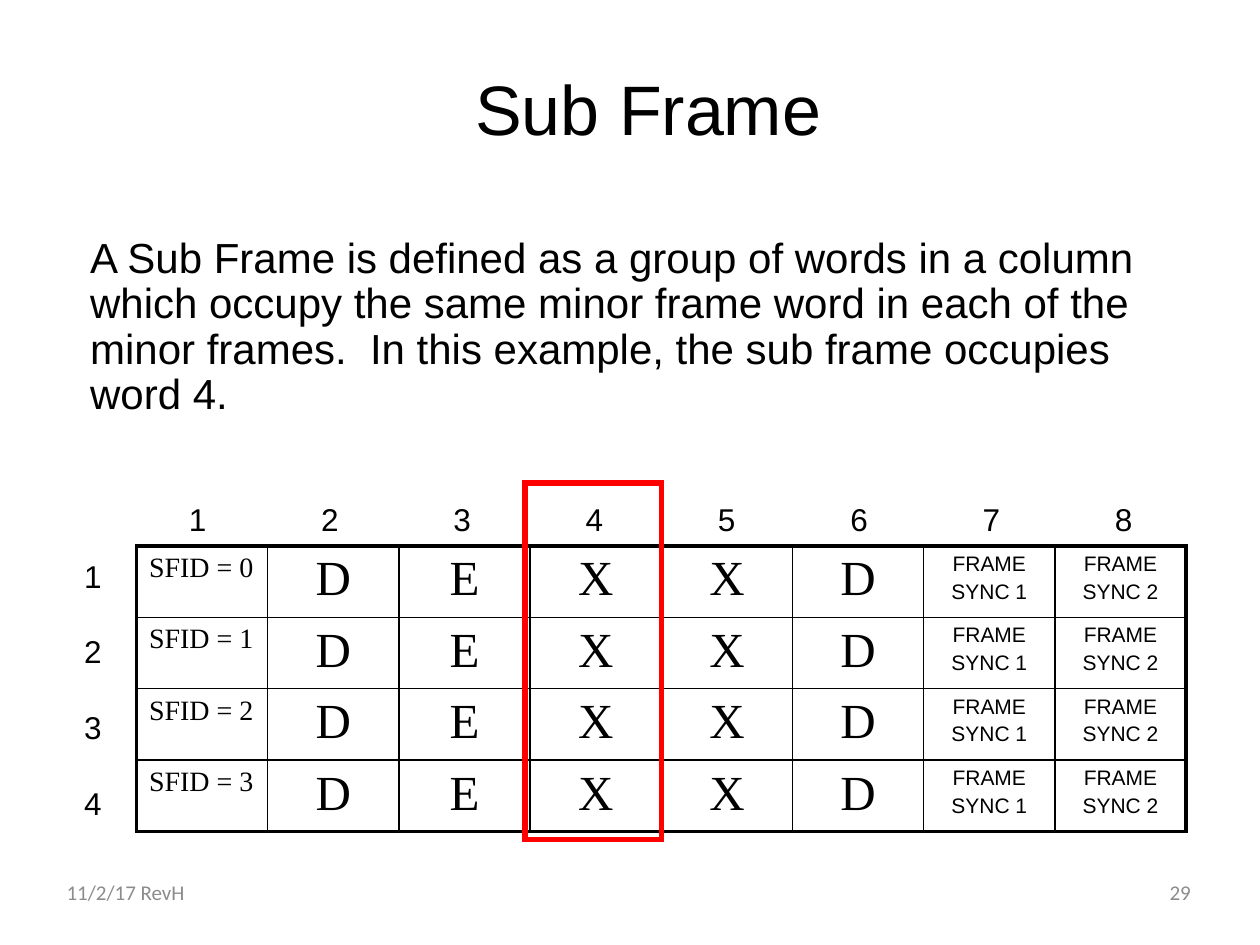
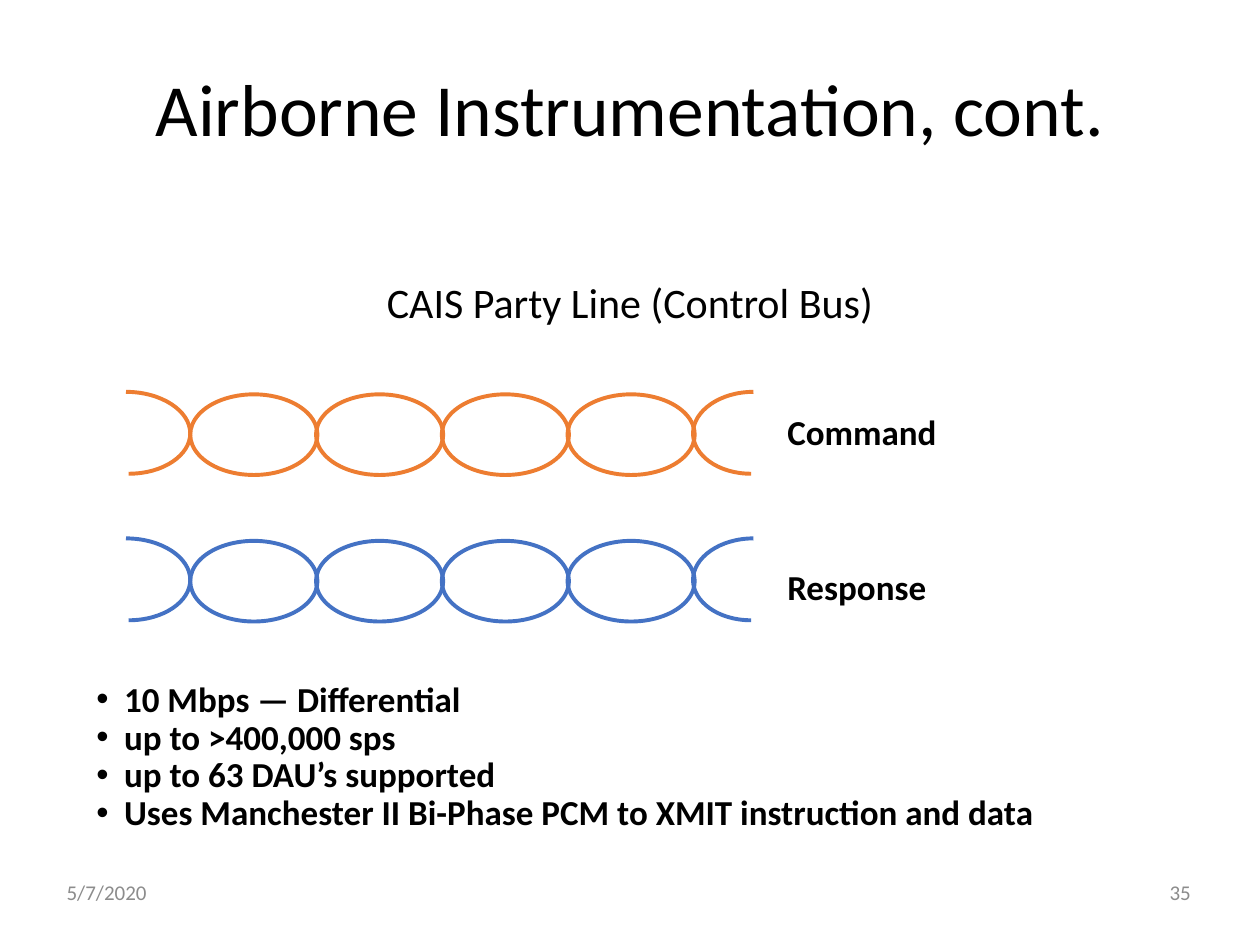
from lxml import etree
from pptx import Presentation
from pptx import util as u
from pptx.dml.color import RGBColor
from pptx.enum import shapes, text
from pptx.oxml.ns import qn

COLORS = {
    "ink": "000000",
    "footer": "8C8C8C",
    "highlight": "FF0000",
    "command": "ED7D31",
    "response": "4472C4",
}
GRID_COLUMNS, GRID_ROWS = 100, 75
LEFT, CENTER, RIGHT = text.PP_ALIGN.LEFT, text.PP_ALIGN.CENTER, text.PP_ALIGN.RIGHT
TOP, MIDDLE, BOTTOM = text.MSO_ANCHOR.TOP, text.MSO_ANCHOR.MIDDLE, text.MSO_ANCHOR.BOTTOM


def rgb(color):
    return RGBColor.from_string(COLORS[color])


def write(frame, content, size=18, font="Calibri", color="ink", bold=False, align=LEFT,
          anchor=None, spacing=1.0, before=0, bullet=None, hang=0):
    if anchor is not None:
        frame.vertical_anchor = anchor
    for index, line in enumerate(content.split("\n")):
        paragraph = frame.add_paragraph() if index else frame.paragraphs[0]
        paragraph.alignment = align
        paragraph.line_spacing = spacing
        paragraph.space_before = u.Pt(before)
        run = paragraph.add_run()
        run.text = line
        run.font.size = u.Pt(size)
        run.font.name = font
        run.font.bold = bold
        run.font.color.rgb = rgb(color)
        properties = paragraph._p.get_or_add_pPr()
        properties.set("marL", str(int(hang)))
        properties.set("indent", str(-int(hang)))
        if bullet:
            etree.SubElement(properties, qn("a:buChar"), char=bullet)
        else:
            etree.SubElement(properties, qn("a:buNone"))


class Deck:
    def __init__(self):
        self.presentation = Presentation()
        self.presentation.slide_width = u.Inches(10)
        self.presentation.slide_height = u.Inches(7.5)
        self.column = self.presentation.slide_width / GRID_COLUMNS
        self.row = self.presentation.slide_height / GRID_ROWS
        self.slide = None

    def box(self, left, top, width, height):
        return (int(left * self.column), int(top * self.row),
                int(width * self.column), int(height * self.row))

    def new_slide(self, layout, date, number):
        self.slide = self.presentation.slides.add_slide(self.presentation.slide_layouts[layout])
        for left, label, align in ((4.3, date, LEFT), (73, number, RIGHT)):
            self.label((left, 68.8, 22.5, 4), label, size=12, color="footer",
                       align=align, anchor=MIDDLE)

    def fill_frame(self, shape, content, wrap=True, anchor=TOP, **style):
        shape.text_frame.word_wrap = wrap
        shape.text_frame.auto_size = text.MSO_AUTO_SIZE.NONE
        write(shape.text_frame, content, anchor=anchor, **style)

    def placeholder(self, index, area, content, **style):
        holder = self.slide.placeholders[index]
        holder.left, holder.top, holder.width, holder.height = self.box(*area)
        self.fill_frame(holder, content, **style)

    def title(self, area, content, **style):
        self.placeholder(0, area, content, align=CENTER, anchor=BOTTOM, **style)

    def label(self, area, content, **style):
        self.fill_frame(self.slide.shapes.add_textbox(*self.box(*area)), content, **style)

    def outline(self, shape, color, weight):
        shape.shadow.inherit = False
        shape.fill.background()
        shape.line.color.rgb = rgb(color)
        shape.line.width = u.Pt(weight)
        etree.SubElement(shape.line._get_or_add_ln(), qn("a:miter"), lim="800000")

    def frame(self, area, color, weight, kind=shapes.MSO_SHAPE.RECTANGLE, parent=None):
        parent = parent or self.slide.shapes
        self.outline(parent.add_shape(kind, *self.box(*area)), color, weight)

    def curve(self, parent, points, color, weight):
        start, *controls = [(x * self.column, y * self.row) for x, y in points]
        builder = parent.build_freeform(*start, scale=1.0)
        builder.add_line_segments(controls, close=False)
        shape = builder.convert_to_shape()
        outline_path = next(shape._element.iter(qn("a:path")))
        segments = outline_path.findall(qn("a:lnTo"))
        for first in range(0, len(segments), 3):
            bezier = etree.SubElement(outline_path, qn("a:cubicBezTo"))
            for segment in segments[first:first + 3]:
                bezier.append(segment[0])
                outline_path.remove(segment)
        self.outline(shape, color, weight)

    def twisted_pair(self, top, color, weight=2.25):
        pair = self.slide.shapes.add_group_shape().shapes
        for loop in range(4):
            self.frame((15.1 + 9.98 * loop, top + 0.2, 10.1, 6.4), color, weight,
                       shapes.MSO_SHAPE.OVAL, pair)
        for open_end, reach in ((10, 5.1), (59.8, -4.8)):
            half_loop = ((0, 0), (0.55, 0), (1, 1.5), (1, 3.3), (1, 5), (0.59, 6.5), (0.04, 6.5))
            self.curve(pair, [(open_end + reach * x, top + y) for x, y in half_loop],
                       color, weight)

    def table(self, area, records, styles):
        rows, columns = len(records), len(records[0])
        grid = self.slide.shapes.add_table(rows, columns, *self.box(*area)).table
        grid.first_row = grid.horz_banding = False
        for r, record in enumerate(records):
            for c, entry in enumerate(record):
                cell = grid.cell(r, c)
                write(cell.text_frame, entry, **styles[c])
                self.borders(cell, L=c == 0, R=c == columns - 1, T=r == 0, B=r == rows - 1)
                cell.fill.background()

    def borders(self, cell, **outer_sides):
        properties = cell._tc.get_or_add_tcPr()
        for side, outer in outer_sides.items():
            weight = u.Pt(2.25 if outer else 1)
            line = etree.SubElement(properties, qn(f"a:ln{side}"), w=str(int(weight)))
            fill = etree.SubElement(line, qn("a:solidFill"))
            etree.SubElement(fill, qn("a:srgbClr"), val=COLORS["ink"])


def sub_frame(deck):
    deck.new_slide(0, "11/2/17 RevH", "29")
    deck.title((8.95, 4.95, 85, 7.5), "Sub Frame", size=40, font="Arial", spacing=0.9)
    deck.placeholder(1, (6.15, 18.33, 88, 16.6),
                     "A Sub Frame is defined as a group of words in a column which occupy "
                     "the same minor frame word in each of the minor frames.  In this example, "
                     "the sub frame occupies word 4.",
                     size=24, font="Arial", spacing=0.9, before=10)
    for word in range(8):
        deck.label((14 + 10.5 * word, 39.2, 3.4, 4), str(word + 1), font="Arial", wrap=False)
    deck.label((5.7, 43.7, 3.4, 22), "1\n2\n3\n4", font="Arial", before=21.6, wrap=False)

    identifier = dict(size=16, font="Times New Roman", before=3.2)
    data_word = dict(size=28, font="Times New Roman", align=CENTER, before=5.6)
    sync_word = dict(size=12, font="Arial", align=CENTER, before=2.4)
    minor_frames = [[f"SFID = {count}", *"DEXXD", "FRAME\nSYNC 1", "FRAME\nSYNC 2"]
                    for count in range(4)]
    deck.table((10.83, 43.33, 83.33, 22.67), minor_frames,
               [identifier] + [data_word] * 5 + [sync_word] * 2)
    deck.frame((41.67, 38.33, 10.83, 28.33), "highlight", 3)


def airborne_instrumentation(deck):
    deck.new_slide(3, "5/7/2020", "35")
    deck.title((7.5, 3.55, 85, 8.8), "Airborne Instrumentation, cont.", size=42, spacing=0.7)
    deck.placeholder(1, (7.5, 21.9, 85, 45), "CAIS Party Line (Control Bus)",
                     size=24, align=CENTER, spacing=0.9, before=10)
    signal = dict(size=20, bold=True, anchor=MIDDLE, spacing=0.9)
    for name, pair_top, name_top in (("Command", 31.1, 32.45), ("Response", 42.73, 44.8)):
        deck.twisted_pair(pair_top, name.lower())
        deck.label((61.5, name_top, 15.6, 4), name, wrap=False, **signal)
    deck.placeholder(2, (6.65, 53.63, 87.3, 13),
                     "10 Mbps — Differential\n"
                     "up to >400,000 sps\n"
                     "up to 63 DAU’s supported\n"
                     "Uses Manchester II Bi-Phase PCM to XMIT instruction and data",
                     bullet="•", hang=2.2 * deck.column, **signal)


def main():
    deck = Deck()
    sub_frame(deck)
    airborne_instrumentation(deck)
    deck.presentation.save("out.pptx")


if __name__ == "__main__":
    main()
